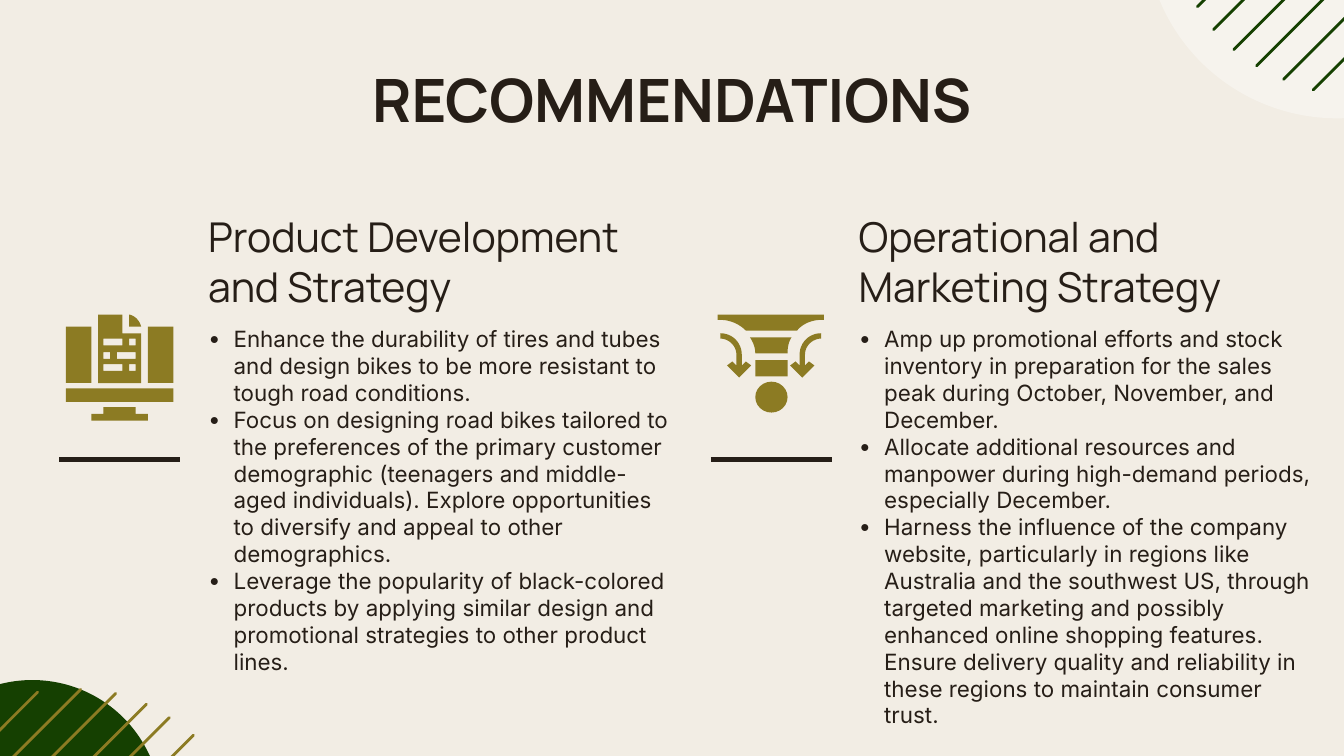
from dataclasses import dataclass

from lxml import etree
from pptx import Presentation
from pptx.dml.color import RGBColor
from pptx.enum.shapes import MSO_CONNECTOR, MSO_SHAPE
from pptx.enum.text import MSO_ANCHOR, PP_ALIGN
from pptx.oxml.ns import qn
from pptx.util import Inches, Pt

OVAL = MSO_SHAPE.OVAL
RECTANGLE = MSO_SHAPE.RECTANGLE
STRAIGHT = MSO_CONNECTOR.STRAIGHT
TOP, BOTTOM = MSO_ANCHOR.TOP, MSO_ANCHOR.BOTTOM
CENTER, LEFT = PP_ALIGN.CENTER, PP_ALIGN.LEFT
INK, GREEN, GOLD, CREAM, WHITE = "261E17", "154001", "8C7B23", "F2EDE4", "FFFFFF"
HEADING_FONT, BODY_FONT = "Manrope", "Inter"
CURVE_STEPS = 12
FUNNEL_AXIS = 5.735


@dataclass
class Stripe:
    left: float
    bottom: float
    reach: float


@dataclass
class Recommendation:
    left: float
    heading_width: float
    body_width: float
    rule_left: float
    heading: str
    points: list[str]


@dataclass
class Box:
    left: float
    top: float
    width: float
    height: float


CORNER_STRIPES = [
    Stripe(9.77, 0.67, 1.71), Stripe(9.55, 0.59, 1.85), Stripe(9.35, 0.49, 1.95),
    Stripe(9.18, 0.37, 2.02), Stripe(9.03, 0.22, 1.93), Stripe(8.91, 0.05, 1.95),
]
FOOT_STRIPES = [
    Stripe(-0.55, 7.46, 1.99), Stripe(-0.69, 7.29, 1.95), Stripe(-0.77, 7.1, 1.86),
    Stripe(-0.85, 6.87, 1.71), Stripe(-0.89, 6.62, 1.49), Stripe(-0.87, 6.3, 1.15),
]
RECOMMENDATIONS = [
    Recommendation(1.45, 3.36, 3.7, 0.44, "Product Development and Strategy", [
        "Enhance the durability of tires and tubes and design bikes to be more resistant to tough road conditions.",
        "Focus on designing road bikes tailored to the preferences of the primary customer demographic (teenagers and middle-aged individuals). Explore opportunities to diversify and appeal to other demographics.",
        "Leverage the popularity of black-colored products by applying similar design and promotional strategies to other product lines.",
    ]),
    Recommendation(6.29, 3.05, 3.59, 5.29, "Operational and Marketing Strategy", [
        "Amp up promotional efforts and stock inventory in preparation for the sales peak during October, November, and December.",
        "Allocate additional resources and manpower during high-demand periods, especially December.",
        "Harness the influence of the company website, particularly in regions like Australia and the southwest US, through targeted marketing and possibly enhanced online shopping features. Ensure delivery quality and reliability in these regions to maintain consumer trust.",
    ]),
]
FUNNEL_ARROW = [
    (6.11, 2.48), (6.02, 2.48, 5.95, 2.55, 5.95, 2.64), (5.95, 2.72), (5.92, 2.69),
    (5.88, 2.72), (5.97, 2.81), (6.06, 2.72), (6.02, 2.69), (5.99, 2.72),
    (5.99, 2.64), (5.99, 2.57, 6.05, 2.52, 6.11, 2.52),
]
FUNNEL_RIM = [
    (5.34, 2.34), (5.34, 2.38), (5.36, 2.38), (5.43, 2.38, 5.5, 2.41, 5.55, 2.46),
    (5.93, 2.46), (5.97, 2.41, 6.04, 2.38, 6.11, 2.38), (6.13, 2.38), (6.13, 2.34),
]
FUNNEL_NECK = [
    (5.58, 2.51), (5.6, 2.54, 5.62, 2.58, 5.62, 2.63),
    (5.86, 2.63), (5.86, 2.58, 5.87, 2.54, 5.89, 2.51),
]
MONITOR_STAND = [(0.77, 3.03), (0.77, 3.08), (0.68, 3.08), (0.68, 3.13),
                 (1.1, 3.13), (1.1, 3.08), (1.01, 3.08), (1.01, 3.03)]
PAGE_FOLD = [(0.96, 2.34), (0.96, 2.43), (1.05, 2.43), (1.04, 2.39, 1.01, 2.35, 0.96, 2.34)]
PAGE = [(0.73, 2.34), (0.73, 2.85), (1.05, 2.85), (1.05, 2.48), (0.91, 2.48), (0.91, 2.34)]
PAGE_ROWS = [(2.52, 0.77, 0.91), (2.52, 0.96, 1.01), (2.62, 0.77, 0.82),
             (2.62, 0.87, 1.01), (2.71, 0.77, 0.91), (2.71, 0.96, 1.01)]
ROW_HEIGHT = 0.05
MONITOR_BARS = [Box(0.49, 2.89, 0.8, 0.1), Box(0.49, 2.43, 0.19, 0.42), Box(1.1, 2.43, 0.19, 0.42)]


def color(value: str) -> RGBColor:
    return RGBColor.from_string(value)


def paint(shape, fill: str) -> None:
    shape.shadow.inherit = False
    shape.fill.solid()
    shape.fill.fore_color.rgb = color(fill)
    shape.line.fill.background()


def draw_shape(slide, kind, box: Box, fill: str):
    shape = slide.shapes.add_shape(
        kind, Inches(box.left), Inches(box.top), Inches(box.width), Inches(box.height))
    paint(shape, fill)
    return shape


def draw_line(slide, start: tuple, end: tuple, stroke: str, width: float, cap: str) -> None:
    line = slide.shapes.add_connector(
        STRAIGHT, Inches(start[0]), Inches(start[1]), Inches(end[0]), Inches(end[1]))
    line.line.color.rgb = color(stroke)
    line.line.width = Pt(width)
    properties = line._element.spPr
    properties.find(qn("a:ln")).set("cap", cap)
    etree.SubElement(properties, qn("a:effectLst"))


def draw_stripes(slide, stripes: list[Stripe], stroke: str) -> None:
    for stripe in stripes:
        draw_line(slide, (stripe.left, stripe.bottom),
                  (stripe.left + stripe.reach, stripe.bottom - stripe.reach), stroke, 1.5, "rnd")


def flatten(outline: list[tuple]) -> list[tuple]:
    points = [outline[0]]
    for step in outline[1:]:
        if len(step) == 2:
            points.append(step)
            continue
        controls = [points[-1], step[:2], step[2:4], step[4:]]
        for index in range(1, CURVE_STEPS + 1):
            t = index / CURVE_STEPS
            weights = ((1 - t) ** 3, 3 * t * (1 - t) ** 2, 3 * t * t * (1 - t), t ** 3)
            points.append(tuple(
                sum(w * point[axis] for w, point in zip(weights, controls)) for axis in (0, 1)))
    return [(Inches(x), Inches(y)) for x, y in points]


def draw_outline(slide, contours: list[list[tuple]], fill: str) -> None:
    paths = [flatten(contour) for contour in contours]
    builder = slide.shapes.build_freeform(*paths[0][0])
    builder.add_line_segments(paths[0][1:], close=True)
    for path in paths[1:]:
        builder.move_to(*path[0])
        builder.add_line_segments(path[1:], close=True)
    paint(builder.convert_to_shape(), fill)


def set_frame(frame, anchor) -> None:
    frame.word_wrap = True
    frame.vertical_anchor = anchor
    frame.margin_left = frame.margin_right = Inches(0.1)
    frame.margin_top = frame.margin_bottom = Inches(0.1)


def add_text(paragraph, text: str, font: str, size: float, align, bold: bool = False) -> None:
    paragraph.alignment = align
    run = paragraph.add_run()
    run.text = text
    run.font.name = font
    run.font.size = Pt(size)
    run.font.bold = bold
    run.font.color.rgb = color(INK)


def add_bullet(paragraph) -> None:
    properties = paragraph._p.get_or_add_pPr()
    properties.set("marL", str(Inches(0.19)))
    properties.set("indent", str(-Inches(0.19)))
    tint = etree.SubElement(properties, qn("a:buClr"))
    etree.SubElement(tint, qn("a:srgbClr")).set("val", INK)
    etree.SubElement(properties, qn("a:buFont")).set("typeface", BODY_FONT)
    etree.SubElement(properties, qn("a:buChar")).set("char", "•")


def add_frame(slide, box: Box, anchor):
    frame = slide.shapes.add_textbox(
        Inches(box.left), Inches(box.top), Inches(box.width), Inches(box.height)).text_frame
    set_frame(frame, anchor)
    return frame


def draw_recommendation(slide, item: Recommendation) -> None:
    body = add_frame(slide, Box(item.left, 2.32, item.body_width, 0.91), TOP)
    for index, point in enumerate(item.points):
        paragraph = body.add_paragraph() if index else body.paragraphs[0]
        add_text(paragraph, point, BODY_FONT, 12, LEFT)
        add_bullet(paragraph)
    heading = add_frame(slide, Box(item.left, 1.8, item.heading_width, 0.61), BOTTOM)
    add_text(heading.paragraphs[0], item.heading, HEADING_FONT, 22, LEFT)
    draw_line(slide, (item.rule_left, 3.42), (item.rule_left + 0.9, 3.42), INK, 2.25, "flat")


def draw_funnel(slide) -> None:
    mirrored = [tuple(2 * FUNNEL_AXIS - value if index % 2 == 0 else value
                      for index, value in enumerate(step)) for step in FUNNEL_ARROW]
    for outline in (FUNNEL_ARROW, mirrored, FUNNEL_RIM, FUNNEL_NECK):
        draw_outline(slide, [outline], GOLD)
    draw_shape(slide, RECTANGLE, Box(5.62, 2.68, 0.24, 0.12), GOLD)
    draw_shape(slide, OVAL, Box(5.62, 2.84, 0.24, 0.23), GOLD)


def draw_monitor(slide) -> None:
    for bar in MONITOR_BARS:
        draw_shape(slide, RECTANGLE, bar, GOLD)
    rows = [[(right, top), (right, top + ROW_HEIGHT), (left, top + ROW_HEIGHT), (left, top)]
            for top, left, right in PAGE_ROWS]
    for contours in ([MONITOR_STAND], [PAGE_FOLD], [PAGE] + rows):
        draw_outline(slide, contours, GOLD)


def main() -> None:
    deck = Presentation()
    deck.slide_width, deck.slide_height = Inches(10), Inches(10 * 9 / 16)
    slide = deck.slides.add_slide(deck.slide_layouts[5])
    slide.background.fill.solid()
    slide.background.fill.fore_color.rgb = color(CREAM)

    corner = draw_shape(slide, OVAL, Box(8.52, -1.96, 2.86, 2.84), WHITE)
    tint = corner._element.spPr.find(qn("a:solidFill"))[0]
    etree.SubElement(tint, qn("a:alpha")).set("val", "36000")
    draw_stripes(slide, CORNER_STRIPES, GREEN)
    draw_shape(slide, OVAL, Box(-0.72, 5.06, 1.92, 1.92), GREEN)
    draw_stripes(slide, FOOT_STRIPES, GOLD)

    title = slide.shapes.title
    title.left, title.top, title.width, title.height = (
        Inches(0.78), Inches(0.37), Inches(8.44), Inches(0.77))
    set_frame(title.text_frame, TOP)
    add_text(title.text_frame.paragraphs[0], "RECOMMENDATIONS", HEADING_FONT, 32, CENTER, True)

    for item in RECOMMENDATIONS:
        draw_recommendation(slide, item)
    draw_funnel(slide)
    draw_monitor(slide)
    deck.save("out.pptx")


if __name__ == "__main__":
    main()
